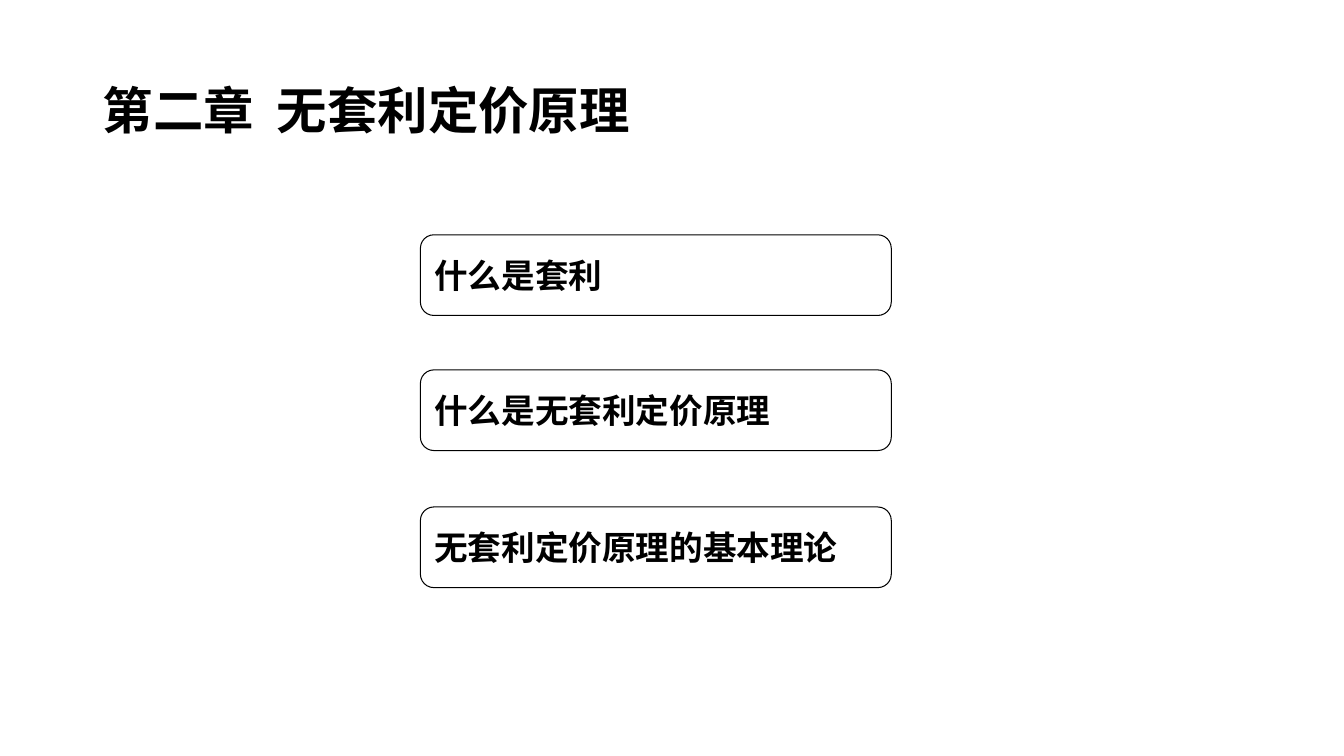
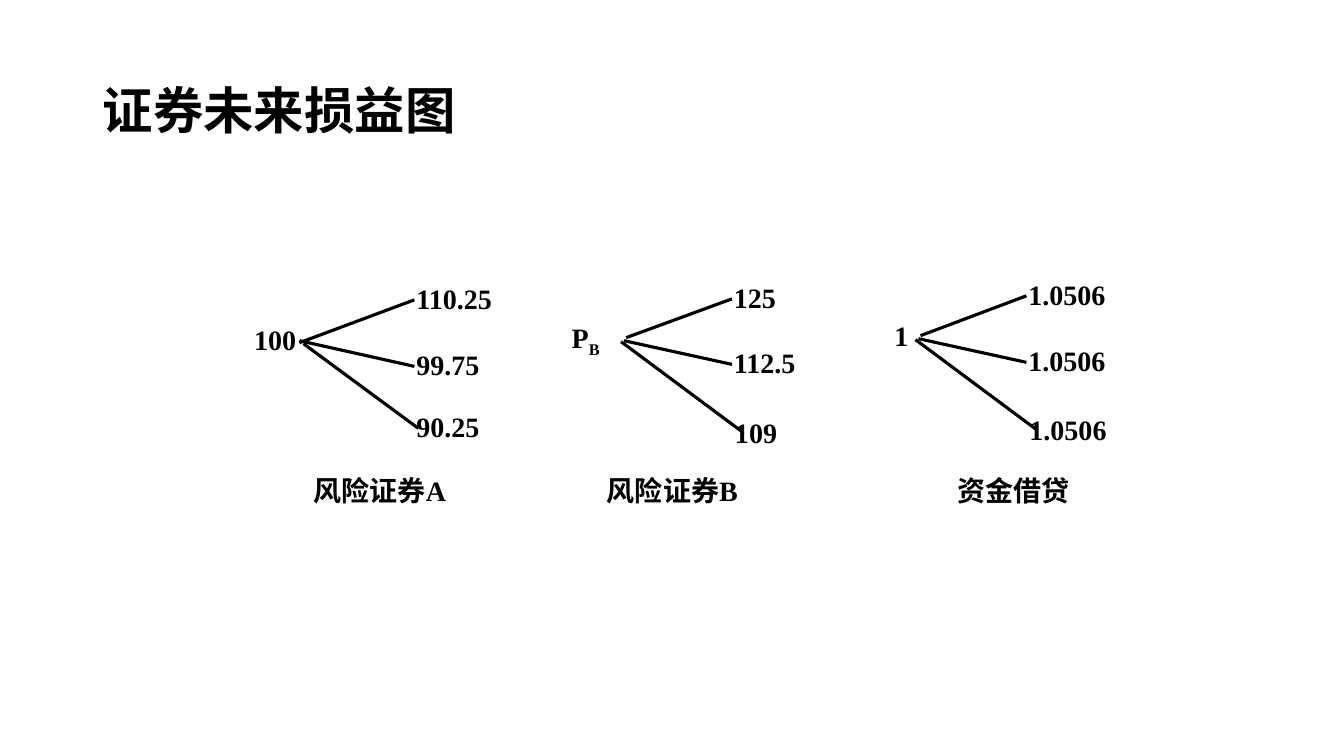
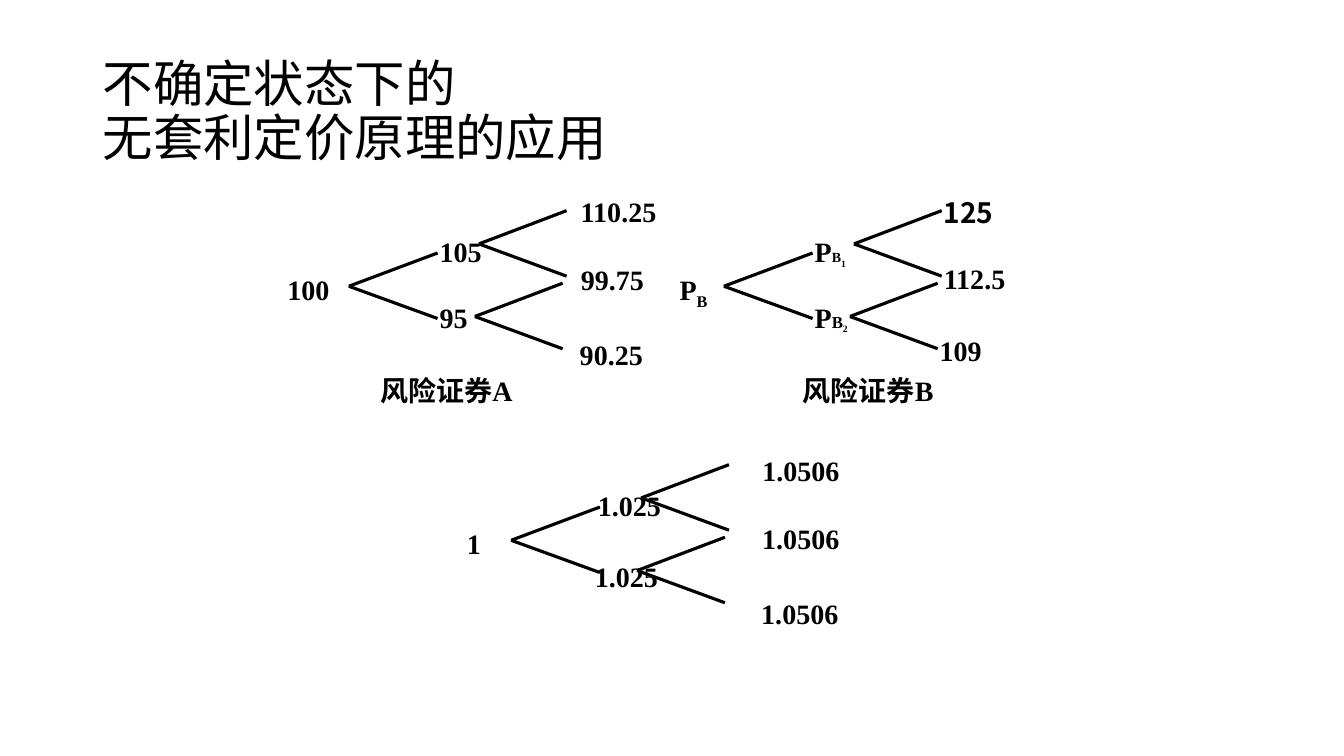
"""Three slides on the no-arbitrage pricing principle."""
from itertools import product
from pptx import Presentation
from pptx import util as u
from pptx.dml.color import RGBColor
from pptx.enum import shapes, text
from pptx.oxml.ns import qn
from lxml import etree

PX = u.Inches(1) // 100
BLACK = RGBColor(0, 0, 0)
WHITE = RGBColor(255, 255, 255)
SANS = "Noto Sans CJK SC"
SERIF = "Times New Roman"


def write(shape, runs, size=20, font=SERIF, bold=True, pad=(2, 1),
          anchor=text.MSO_ANCHOR.TOP, space=1.0):
    """Fill a shape with one paragraph of runs: text, size and baseline."""
    frame = shape.text_frame
    frame.word_wrap = True
    frame.vertical_anchor = anchor
    frame.margin_left = frame.margin_right = pad[0] * PX
    frame.margin_top = frame.margin_bottom = pad[1] * PX
    para = frame.paragraphs[0]
    para.alignment = text.PP_ALIGN.LEFT
    para.line_spacing = space
    if isinstance(runs, str):
        runs = [(runs, size, 0)]
    for words, points, base in runs:
        if words == "\n":
            para.add_line_break()
            continue
        run = para.add_run()
        run.text = words
        run.font.size = u.Pt(points)
        run.font.bold = bold
        run.font.name = font
        run.font.color.rgb = BLACK
        props = run.font._element
        etree.SubElement(props, qn("a:ea")).set("typeface", SANS)
        if base:
            props.set("baseline", str(base * 1000))


def link(slide, start, end, boxes):
    """Draw a branch and join it to a label whose left middle it meets."""
    x, y = end[0] * PX, end[1] * PX
    line = slide.shapes.add_connector(
        shapes.MSO_CONNECTOR.STRAIGHT, start[0] * PX, start[1] * PX, x, y)
    line.line.color.rgb = BLACK
    line.line.width = u.Pt(2.25)
    etree.SubElement(line._element.spPr, qn("a:effectLst"))
    for box in boxes:
        if max(abs(box.left - x), abs(box.top + box.height // 2 - y)) <= PX:
            line.end_connect(box, 1)


deck = Presentation()
deck.slide_width, deck.slide_height = 1333 * PX, 750 * PX

titles = [
    ("第二章  无套利定价原理", True),
    ("证券未来损益图", True),
    ([("不确定状态下的", 36, 0), ("\n", 36, 0), ("无套利定价原理的应用", 36, 0)], False),
]
slides = []
for title, bold in titles:
    slide = deck.slides.add_slide(deck.slide_layouts[6])
    box = slide.shapes.add_textbox(92 * PX, 40 * PX, 1150 * PX, 145 * PX)
    write(box, title, size=36, font=SANS, bold=bold, pad=(10, 5),
          anchor=text.MSO_ANCHOR.MIDDLE, space=0.9)
    slides.append(slide)
first, fans, trees = slides

topics = [(233, "什么是套利"), (367, "什么是无套利定价原理"), (503, "无套利定价原理的基本理论")]
for top, topic in topics:
    card = first.shapes.add_shape(
        shapes.MSO_SHAPE.FLOWCHART_ALTERNATE_PROCESS,
        417 * PX, top * PX, 467 * PX, 80 * PX)
    card.shadow.inherit = False
    card.fill.solid()
    card.fill.fore_color.rgb = WHITE
    card.line.color.rgb = BLACK
    card.line.width = u.Pt(0.75)
    write(card, topic, size=24, font=SANS, pad=(10, 5), anchor=text.MSO_ANCHOR.MIDDLE)

price = [("P", 20, 0), ("B", 20, -25)]
up = [("P", 20, 0), ("B", 10, 0), ("1", 12, -25)]
down = [("P", 20, 0), ("B", 12, 0), ("2", 12, -25)]

notes = [
    (fans, [
        (250, 319, 52, 39, "100"), (411, 278, 87, 39, "110.25"),
        (411, 344, 87, 39, "99.75"), (411, 405, 86, 39, "90.25"),
        (565, 317, 52, 39, price), (726, 277, 87, 39, "125"),
        (726, 342, 87, 39, "112.5"), (727, 411, 86, 39, "109"),
        (885, 315, 26, 39, "1"), (1018, 274, 87, 39, "1.0506"),
        (1018, 340, 87, 39, "1.0506"), (1019, 408, 86, 39, "1.0506"),
        (309, 469, 159, 39, "风险证券A"), (600, 469, 150, 39, "风险证券B"),
        (948, 469, 132, 39, "资金借贷"),
    ]),
    (trees, [
        (283, 269, 60, 45, "100"), (434, 232, 58, 43, "105"),
        (434, 297, 44, 32, "95"), (574, 192, 84, 38, "110.25"),
        (574, 259, 72, 32, "99.75"), (573, 334, 72, 32, "90.25"),
        (672, 269, 44, 32, price), (806, 232, 44, 32, up),
        (806, 297, 44, 32, down), (934, 193, 66, 32, "125"),
        (934, 258, 91, 45, "112.5"), (930, 330, 70, 32, "109"),
        (461, 521, 44, 32, "1"), (593, 484, 65, 38, "1.025"),
        (590, 554, 76, 44, "1.025"), (754, 449, 105, 47, "1.0506"),
        (754, 516, 96, 43, "1.0506"), (753, 591, 105, 48, "1.0506"),
        (375, 370, 157, 39, "风险证券A"), (794, 370, 165, 49, "风险证券B"),
    ]),
]
labels = []
for slide, rows in notes:
    boxes = []
    for x, y, w, h, words in rows:
        box = slide.shapes.add_textbox(x * PX, y * PX, w * PX, h * PX)
        face = SANS if slide is trees and words == "125" else SERIF
        write(box, words, font=face, pad=(0 if words == "1.025" else 2, 1))
        boxes.append(box)
    labels.append(boxes)

near = [(0, 0, 114, -42), (0, -2, 114, 24), (4, 1, 118, 85)]
wide = [(0, 0, 105, -39), (-2, 3, 105, 27), (-5, 4, 116, 94)]
for x, y, rays in [(297, 340, near), (621, 335, wide), (913, 333, wide)]:
    for a, b, c, d in rays:
        link(fans, (x + a, y + b), (x + c, y + d), labels[0])

roots = [(346, 284), (718, 284), (507, 536)]
forks = [(0, 0, 88), (129, -42, 87), (125, 30, 87)]
for (x, y), (dx, dy, run), rise in product(roots, forks, (-33, 32)):
    link(trees, (x + dx, y + dy), (x + dx + run, y + dy + rise), labels[1])

deck.save("out.pptx")
